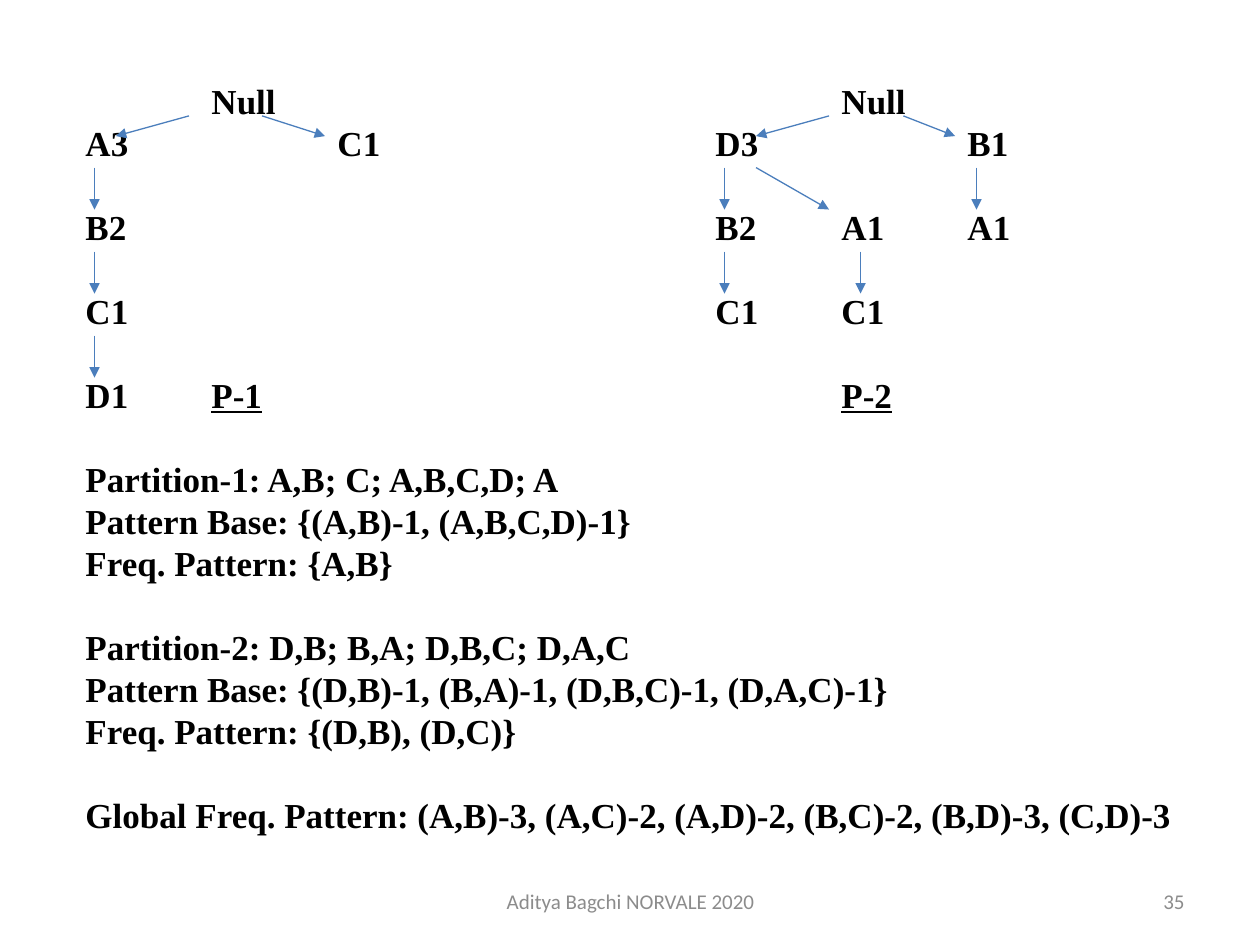
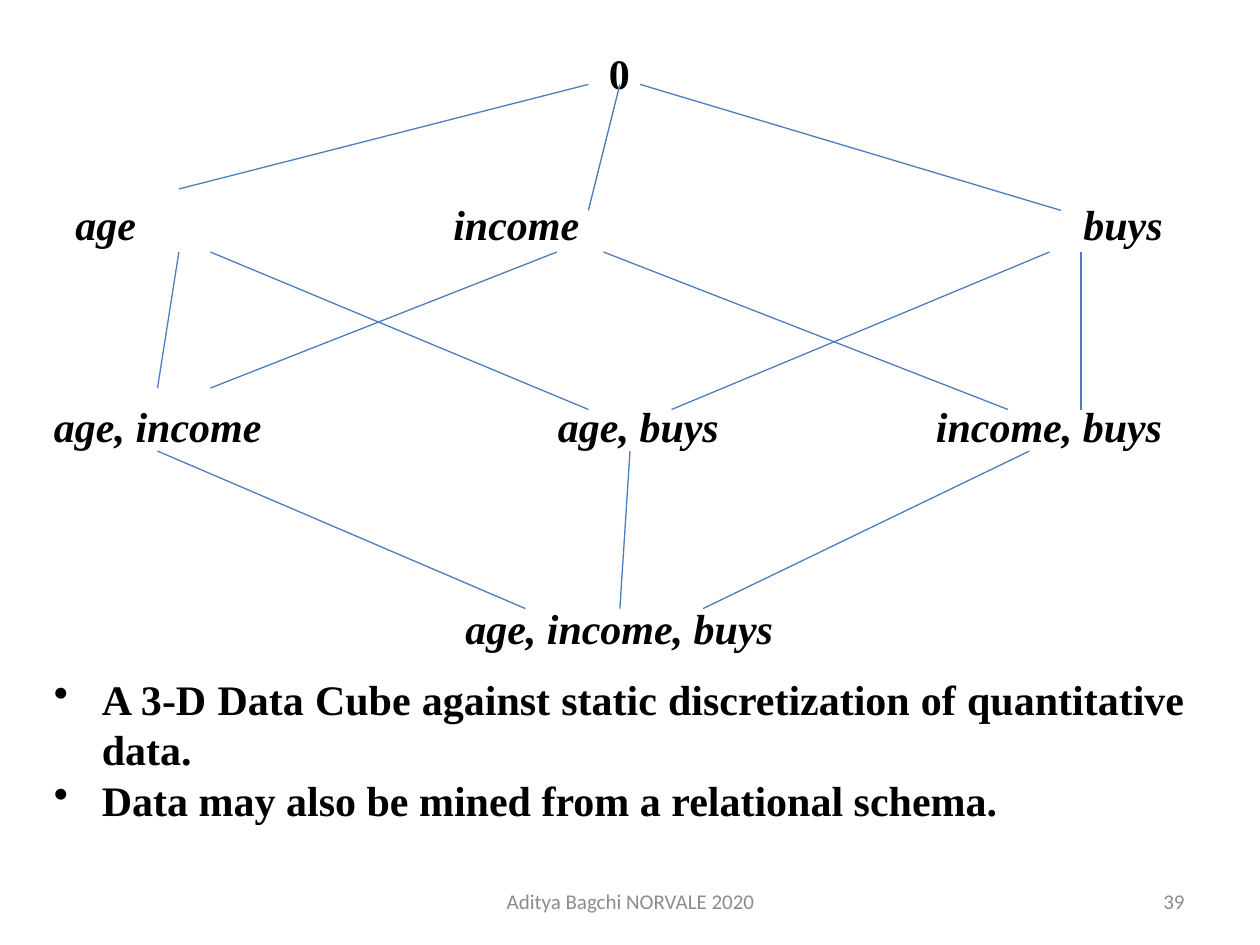
from dataclasses import dataclass

from lxml import etree
from pptx import Presentation
from pptx.dml.color import RGBColor
from pptx.enum.shapes import MSO_CONNECTOR
from pptx.enum.text import MSO_ANCHOR, PP_ALIGN
from pptx.oxml.ns import qn
from pptx.util import Inches, Pt

STRAIGHT = MSO_CONNECTOR.STRAIGHT
TOP, MIDDLE = MSO_ANCHOR.TOP, MSO_ANCHOR.MIDDLE
LEFT, CENTER, RIGHT, JUSTIFY = (
    PP_ALIGN.LEFT, PP_ALIGN.CENTER, PP_ALIGN.RIGHT, PP_ALIGN.JUSTIFY)


@dataclass(frozen=True)
class Theme:
    body_font: str = "Times New Roman"
    footer_font: str = "Calibri"
    ink: RGBColor = RGBColor(0x00, 0x00, 0x00)
    grey: RGBColor = RGBColor(0x8C, 0x8C, 0x8C)
    line: RGBColor = RGBColor(0x4B, 0x7E, 0xBC)
    tree_size: int = 20
    cube_size: int = 24
    footer_size: int = 12
    line_width: float = 0.75
    line_pitch: float = 1.2


THEME = Theme()
FOOTER = "Aditya Bagchi NORVALE 2020"
TREE_BOX = (0.58, 0.58, 8.92, 6.16)
CUBE_BOX = (0.33, 0.33, 9.17, 6.33)


def add_box(page, box, anchor=TOP):
    """Add a wrapping text box and return its text frame."""
    frame = page.shapes.add_textbox(*(Inches(length) for length in box)).text_frame
    frame.word_wrap = True
    frame.vertical_anchor = anchor
    return frame


def write(frame, text, *, size, font=THEME.body_font, color=THEME.ink, bold=True,
          italic=False, underlined=(), align=LEFT, skip=0, after=0,
          bullet=None, indent=0.38, tabs=()):
    """Write one paragraph; skip is the gap above it, counted in lines."""
    first = frame.paragraphs[0]
    para = frame.add_paragraph() if first.runs else first
    pitch = size * THEME.line_pitch
    para.alignment = align
    para.line_spacing = Pt(pitch)
    para.space_before = Pt(skip * pitch)
    para.space_after = Pt(after)

    properties = para._p.get_or_add_pPr()
    if bullet:
        properties.set("marL", str(Inches(indent)))
        properties.set("indent", str(-Inches(indent)))
        etree.SubElement(properties, qn("a:buChar"), char=bullet)
    if tabs:
        stops = etree.SubElement(properties, qn("a:tabLst"))
        for stop in tabs:
            etree.SubElement(stops, qn("a:tab"), pos=str(Inches(stop)), algn="l")

    # Every tab-separated cell is a span of its own
    for index, cell in enumerate(text.split("\t")):
        for piece in (["\t"] if index else []) + ([cell] if cell else []):
            span = para.add_run()
            span.text = piece
            span.font.name = font
            span.font.size = Pt(size)
            span.font.bold = bold
            span.font.italic = italic
            span.font.underline = piece in underlined
            span.font.color.rgb = color


def add_line(page, box, start, end, arrow=False):
    """Draw a line between two points given relative to the box."""
    left, top = box[:2]
    points = [Inches(length) for x, y in (start, end)
              for length in (left + x, top + y)]
    line = page.shapes.add_connector(STRAIGHT, *points)
    line.line.color.rgb = THEME.line
    line.line.width = Pt(THEME.line_width)
    if arrow:
        etree.SubElement(line.line._get_or_add_ln(), qn("a:tailEnd"), type="triangle")
    etree.SubElement(line._element.spPr, qn("a:effectLst"))


def add_footer(page, number):
    """Place the credit line and the page number."""
    for box, text, align in (
        ((3.42, 6.95, 3.17, 0.4), FOOTER, CENTER),
        ((7.17, 6.95, 2.33, 0.4), str(number), RIGHT),
    ):
        write(add_box(page, box, MIDDLE), text, size=THEME.footer_size,
              font=THEME.footer_font, color=THEME.grey, bold=False, align=align)


def add_tree_text(page, box):
    """Write the node rows of both trees and the patterns below them."""
    frame = add_box(page, box)
    # Lines skipped above, tab stops, text
    rows = (
        (0, (1, 6), "\tNull\tNull"),
        (0, (2, 5, 7), "A3\tC1\tD3\tB1"),
        (1, (5, 6, 7), "B2\tB2\tA1\tA1"),
        (1, (5, 6), "C1\tC1\tC1"),
        (1, (1, 6), "D1\tP-1\tP-2"),
        (1, (), "Partition-1: A,B; C; A,B,C,D; A"),
        (0, (), "Pattern Base: {(A,B)-1, (A,B,C,D)-1}"),
        (0, (), "Freq. Pattern: {A,B}"),
        (1, (), "Partition-2: D,B; B,A; D,B,C; D,A,C"),
        (0, (), "Pattern Base: {(D,B)-1, (B,A)-1, (D,B,C)-1, (D,A,C)-1}"),
        (0, (), "Freq. Pattern: {(D,B), (D,C)}"),
        (1, (), "Global Freq. Pattern: (A,B)-3, (A,C)-2, (A,D)-2, "
                "(B,C)-2, (B,D)-3, (C,D)-3"),
    )
    for skip, tabs, text in rows:
        write(frame, text, size=THEME.tree_size, skip=skip, tabs=tabs,
              underlined=("P-1", "P-2"))


def add_tree_arrows(page, box):
    """Draw the arrows from each tree node to its children."""
    row = THEME.tree_size * THEME.line_pitch / 72
    first_gap = 0.75

    # Root to first level
    for start, end in ((0.92, 0.34), (1.5, 2), (6, 5.42), (6.59, 7)):
        add_line(page, box, (start, 0.34), (end, 0.5), arrow=True)

    # Straight down, by level
    for level, columns in enumerate(((0.17, 5.17, 7.17), (0.17, 5.17, 6.25), (0.17,))):
        top = first_gap + 2 * row * level
        for x in columns:
            add_line(page, box, (x, top), (x, top + row), arrow=True)

    # D3 to its second child
    add_line(page, box, (5.42, first_gap), (6, first_gap + row), arrow=True)


def add_cube_text(page, box):
    """Write the lattice levels and the remarks below them."""
    frame = add_box(page, box)
    size = THEME.cube_size
    write(frame, "0", size=size, align=CENTER)
    write(frame, "\tage\tincome\tbuys", size=size, italic=True, skip=2,
          tabs=(0.17, 3.17, 8.17))
    write(frame, "age, income\tage, buys\tincome, buys", size=size, italic=True,
          skip=3, tabs=(4, 7))
    write(frame, "age, income, buys", size=size, italic=True, skip=3, after=12,
          align=CENTER)
    for remark in (
        "A 3-D Data Cube against static discretization of quantitative data.",
        "Data may also be mined from a relational schema.",
    ):
        write(frame, remark, size=size, align=JUSTIFY, bullet="•")


def add_cube_edges(page, box):
    """Join the lattice levels; each edge runs from upper to lower level."""
    edges = (
        # Apex to single attributes
        ((4.34, 0.34), (1.09, 1.17)),
        ((4.59, 0.34), (4.34, 1.34)),
        ((4.75, 0.34), (8.09, 1.34)),
        # Single attributes to pairs
        ((1.09, 1.67), (0.92, 2.75)),
        ((1.34, 1.67), (4.34, 2.92)),
        ((4.09, 1.67), (1.34, 2.75)),
        ((4.46, 1.67), (7.67, 2.92)),
        ((8, 1.67), (5, 2.92)),
        ((8.25, 1.67), (8.25, 2.92)),
        # Pairs to the full set
        ((0.92, 3.25), (3.84, 4.5)),
        ((4.67, 3.25), (4.59, 4.5)),
        ((7.84, 3.25), (5.25, 4.5)),
    )
    for start, end in edges:
        add_line(page, box, start, end)


def main():
    deck = Presentation()
    deck.slide_width, deck.slide_height = Inches(10), Inches(7.5)
    blank = deck.slide_layouts[6]
    for number, box, parts in (
        (35, TREE_BOX, (add_tree_text, add_tree_arrows)),
        (39, CUBE_BOX, (add_cube_text, add_cube_edges)),
    ):
        page = deck.slides.add_slide(blank)
        add_footer(page, number)
        for add_part in parts:
            add_part(page, box)
    deck.save("out.pptx")


if __name__ == "__main__":
    main()
